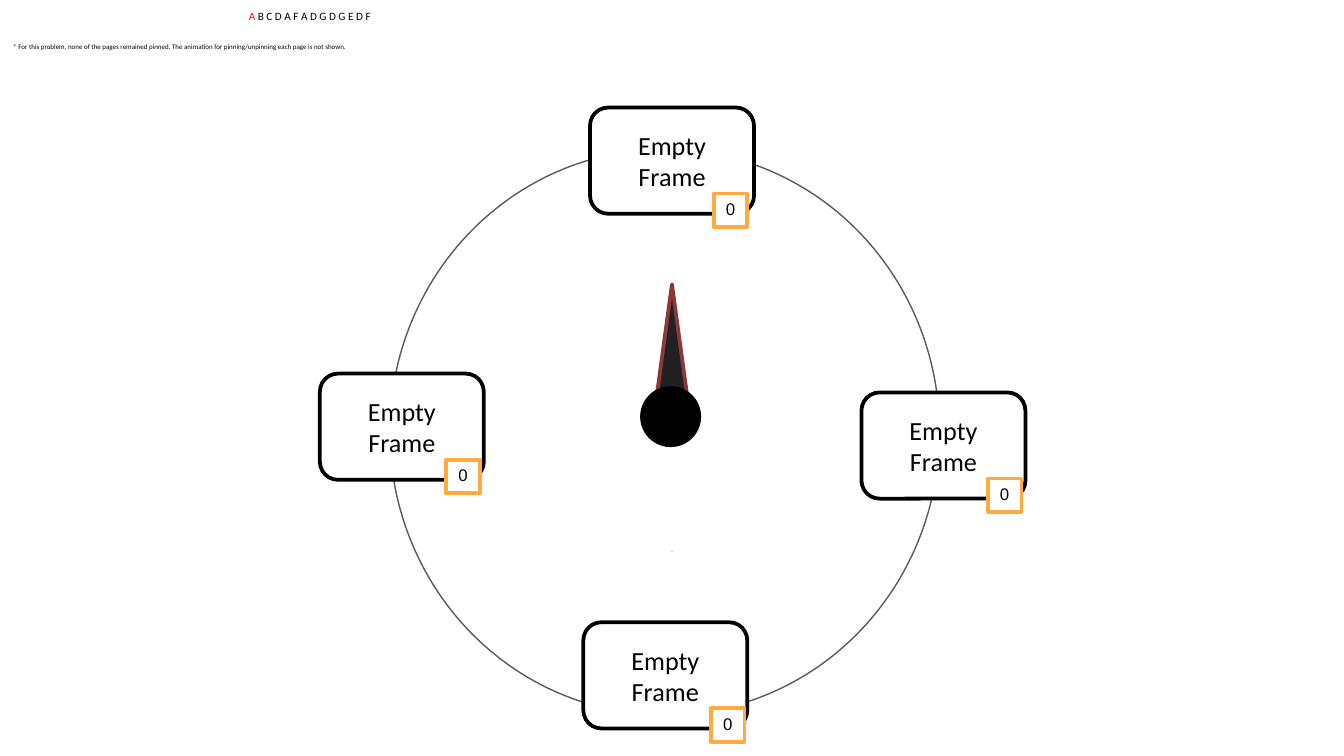
"""Build the clock replacement slide with four empty frames."""
from pptx import Presentation
from pptx import util as u
from pptx.dml.color import RGBColor
from pptx.enum import shapes, text

BLACK = RGBColor(0x00, 0x00, 0x00)
WHITE = RGBColor(0xFF, 0xFF, 0xFF)
GREY = RGBColor(0x59, 0x59, 0x59)
DARK = RGBColor(0x21, 0x21, 0x21)
RED = RGBColor(0xFF, 0x00, 0x00)
MAROON = RGBColor(0x8C, 0x3A, 0x38)
ORANGE = RGBColor(0xFF, 0xAB, 0x40)
KIND = shapes.MSO_SHAPE


def draw(home, kind, box, fill=None, edge=None, width=2):
    shape = home.add_shape(kind, *[u.Inches(v) for v in box])
    shape.shadow.inherit = False
    if fill is None:
        shape.fill.background()
    else:
        shape.fill.solid()
        shape.fill.fore_color.rgb = fill
    if edge is None:
        shape.line.fill.background()
    else:
        shape.line.color.rgb = edge
        shape.line.width = u.Pt(width)
    return shape


def write(para, words, size, font="Calibri", color=BLACK):
    run = para.add_run()
    run.text = words
    run.font.size = u.Pt(size)
    run.font.name = font
    run.font.color.rgb = color


deck = Presentation()
deck.slide_width = u.Inches(10)
deck.slide_height = u.Inches(10 * 9 / 16)
slide = deck.slides.add_slide(deck.slide_layouts[6])

draw(slide.shapes, KIND.OVAL, (2.9, 1.11, 4.09, 4.21), edge=GREY, width=0.75)

note = slide.shapes.add_textbox(0, 0, u.Inches(4.61), u.Inches(0.61)).text_frame
note.word_wrap = True
note.margin_left = note.margin_right = u.Inches(0.1)
note.margin_top = note.margin_bottom = u.Inches(0.1)
pages = note.paragraphs[0]
pages.alignment = text.PP_ALIGN.CENTER
pages.space_before = u.Pt(8)
write(pages, "A", 6, color=RED)
write(pages, " B C D A F A D G D G E D F", 6)
remark = note.add_paragraph()
remark.space_before = u.Pt(12)
write(remark, "* For this problem, none of the pages remained pinned. "
      "The animation for pinning/unpinning each page is not shown.", 3.7)
for para in note.paragraphs:
    para.line_spacing = 0.7

hand = slide.shapes.add_group_shape().shapes
for kind, box, fill, edge, width in [
    (KIND.DIAMOND, (4.01, 2.97, 1.98, 0.27), DARK, MAROON, 2),
    (KIND.RECTANGLE, (4.49, 3.38, 1, 0.45), WHITE, None, 0),
    (KIND.OVAL, (4.77, 2.88, 0.44, 0.44), BLACK, BLACK, 1),
]:
    draw(hand, kind, box, fill, edge, width).rotation = 270

for left, top, shift in [
    (4.39, 0.8, 0.92), (2.38, 2.78, 0.94), (4.34, 4.63, 0.95), (6.41, 2.92, 0.94),
]:
    group = slide.shapes.add_group_shape().shapes
    frame = draw(group, KIND.ROUNDED_RECTANGLE, (left, top, 1.22, 0.79), WHITE, BLACK)
    frame.adjustments[0] = 0.17
    badge = draw(group, KIND.RECTANGLE, (left + shift, top + 0.64, 0.25, 0.25),
                 WHITE, ORANGE)
    for shape, words, size, font, pad, anchor in [
        (frame, "Empty Frame", 14, "Calibri", 0.07, text.MSO_ANCHOR.MIDDLE),
        (badge, "0", 9, "Arial", 0.04, text.MSO_ANCHOR.TOP),
    ]:
        body = shape.text_frame
        body.word_wrap = True
        body.vertical_anchor = anchor
        body.margin_left = body.margin_right = u.Inches(0.07)
        body.margin_top = body.margin_bottom = u.Inches(pad)
        body.paragraphs[0].alignment = text.PP_ALIGN.CENTER
        write(body.paragraphs[0], words, size, font)

deck.save("out.pptx")
